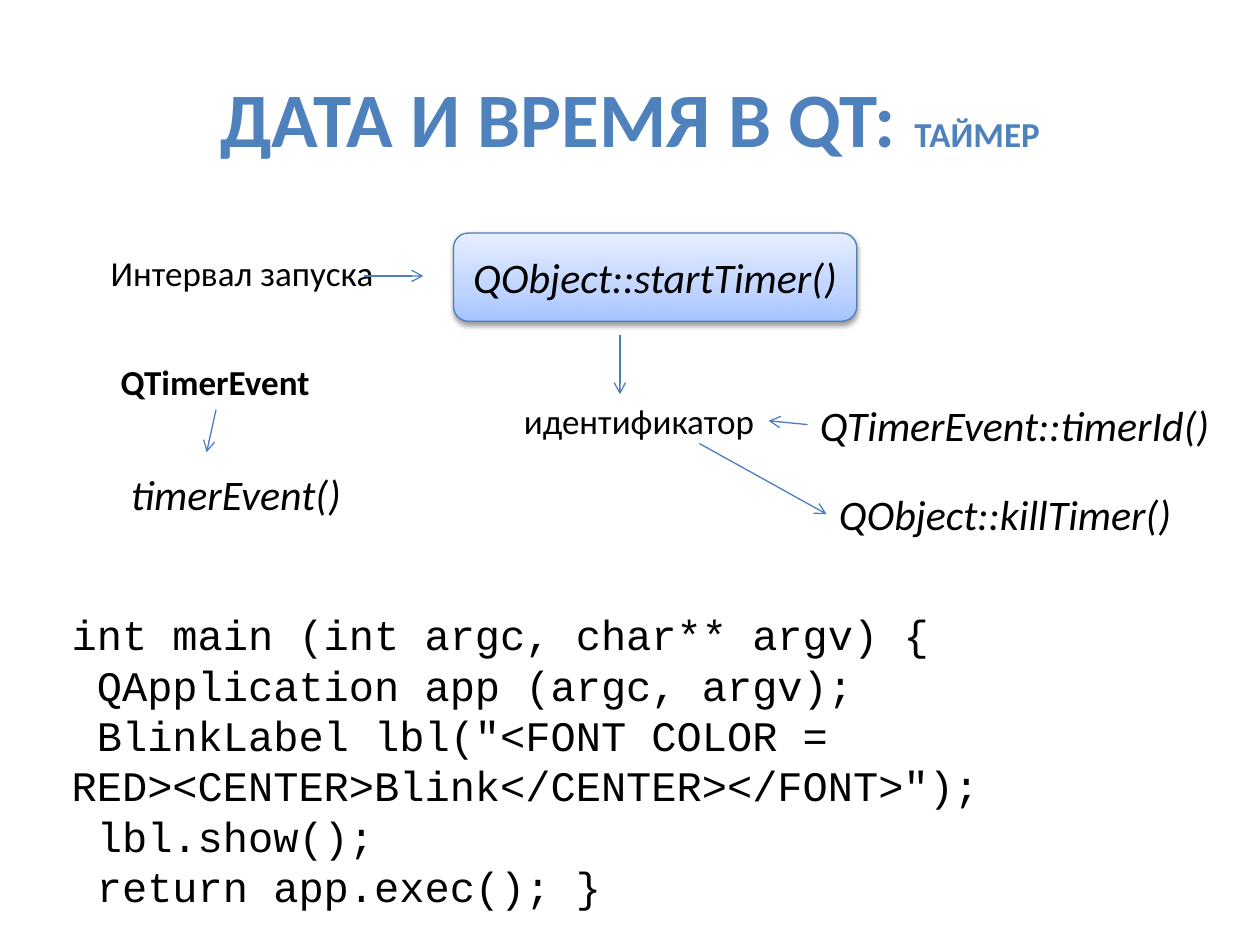
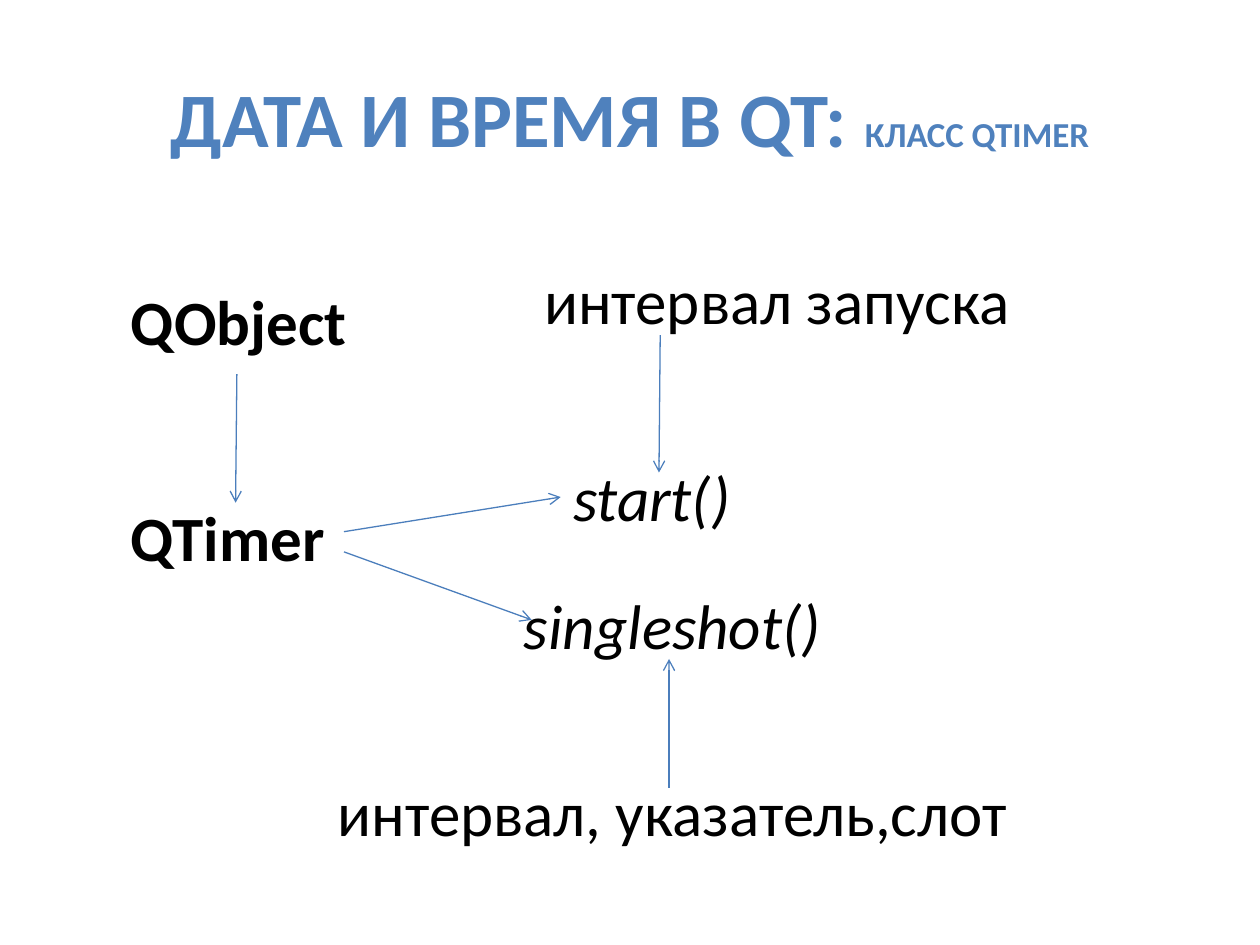
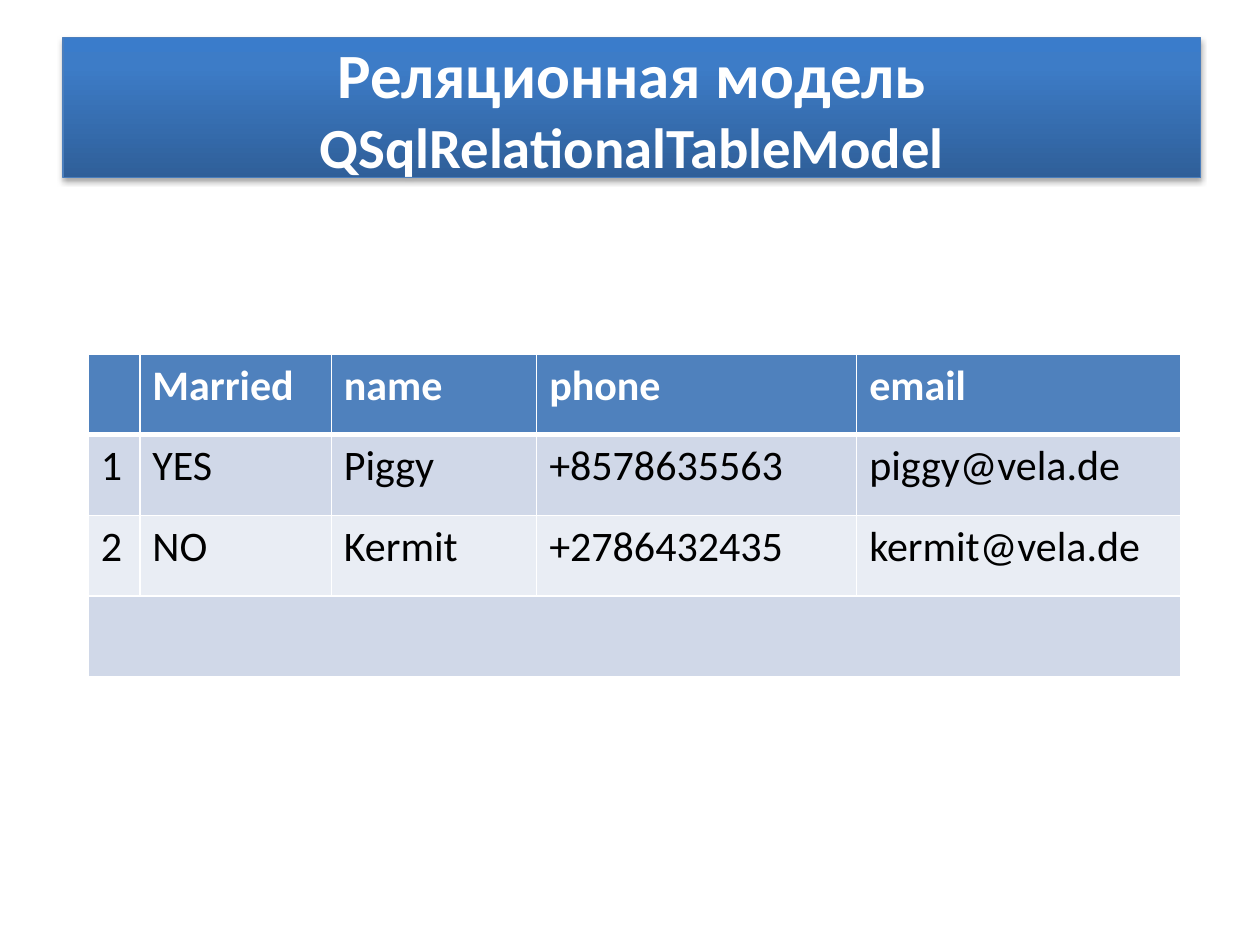
import copy

import lxml.etree
import pptx
import pptx.dml.color
import pptx.enum.shapes
import pptx.enum.text
import pptx.oxml.ns
import pptx.util

COLORS = {
    "accent": "4F81BD", "line": "4B7EBC", "text": "000000", "white": "FFFFFF",
    "band_dark": "D0D8E8", "band_light": "E9EDF4",
}
BUTTON_STOPS = [(0, "A4C4FF"), (35, "BFD4FF"), (100, "E6EEFF")]
BANNER_STOPS = [(0, "2F5F99"), (80, "3D7CC7"), (100, "3A7CCB")]
TITLE_ONLY = 5
Inches = pptx.util.Inches
Pt = pptx.util.Pt
RGBColor = pptx.dml.color.RGBColor
qn = pptx.oxml.ns.qn


def add_run(paragraph, text, size=24, color="text", bold=False, italic=False, font="Calibri"):
    run = paragraph.add_run()
    run.text = text
    run.font.name = font
    run.font.size = Pt(size)
    run.font.bold = bold
    run.font.italic = italic
    run.font.color.rgb = RGBColor.from_string(COLORS[color])
    return run


def style_raised(shape, stops, opacity, distance):
    """Upward gradient, thin outline and a soft shadow below."""
    fill = shape.fill
    fill.gradient()
    fill.gradient_angle = 90
    properties = shape._element.spPr
    stop_list = properties.find(".//" + qn("a:gsLst"))
    for stop in list(stop_list):
        stop_list.remove(stop)
    for position, color in stops:
        stop = lxml.etree.SubElement(stop_list, qn("a:gs"), pos=str(position * 1000))
        lxml.etree.SubElement(stop, qn("a:srgbClr"), val=color)
    shape.line.color.rgb = RGBColor.from_string(COLORS["line"])
    shape.line.width = Pt(0.75)
    shape.shadow.inherit = False
    shadow = lxml.etree.SubElement(
        properties.find(qn("a:effectLst")), qn("a:outerShdw"), blurRad=str(Pt(3.1)),
        dist=str(Pt(distance)), dir="5400000", rotWithShape="0")
    shadow_color = lxml.etree.SubElement(shadow, qn("a:srgbClr"), val=COLORS["text"])
    lxml.etree.SubElement(shadow_color, qn("a:alpha"), val=str(opacity * 1000))


presentation = pptx.Presentation()
presentation.slide_width = Inches(10)
presentation.slide_height = Inches(7.5)

# Diagram content: labels are (text, left, top, width, height, bold, italic);
# arrows are (start, end, joined label at start, joined label at end)
diagrams = [
    {
        "topic": "ТАЙМЕР",
        "wrap": False,
        "labels": [
            ("Интервал запуска", 0.78, 1.95, 2.31, 0.44, 20, False, False),
            ("идентификатор", 4.06, 3.12, 2.04, 0.44, 20, False, False),
            ("QTimerEvent", 0.86, 2.81, 1.71, 0.44, 20, True, False),
            ("timerEvent()", 0.94, 3.67, 1.89, 0.5, 24, False, True),
            ("QTimerEvent::timerId()", 6.41, 3.12, 3.33, 0.5, 24, False, True),
            ("QObject::killTimer()", 6.56, 3.83, 2.87, 0.5, 24, False, True),
        ],
        "arrows": [
            ((2.89, 2.19), (3.36, 2.19), None, None),
            ((4.92, 2.66), (4.92, 3.13), None, None),
            ((6.41, 3.38), (6.1, 3.34), ("QTimerEvent::timerId()", 1), ("идентификатор", 3)),
            ((5.55, 3.52), (6.56, 4.08), None, ("QObject::killTimer()", 1)),
            ((1.72, 3.25), (1.64, 3.59), ("QTimerEvent", 2), None),
        ],
    },
    {
        "topic": "КЛАСС QTIMER",
        "wrap": True,
        "labels": [
            ("QObject", 0.94, 2.19, 2.34, 0.71, 36, True, False),
            ("QTimer", 0.94, 3.91, 2.93, 0.71, 36, True, False),
            ("start()", 4.45, 3.59, 2.43, 0.71, 36, False, True),
            ("интервал запуска", 4.22, 2.03, 4.69, 0.71, 36, False, False),
            ("singleshot()", 4.06, 4.61, 2.77, 0.7, 36, False, True),
            ("интервал, указатель,слот", 2.58, 6.09, 5.78, 0.71, 36, False, False),
        ],
        "arrows": [
            ((1.88, 2.97), (1.87, 3.99), None, None),
            ((5.31, 6.25), (5.31, 5.23), None, None),
            ((2.73, 4.22), (4.45, 3.95), None, ("start()", 1)),
            ((2.73, 4.38), (4.22, 4.92), None, None),
            ((5.24, 2.66), (5.23, 3.75), None, None),
        ],
    },
]

# Slides 1 and 2: title, labels and arrows
for diagram in diagrams:
    slide = presentation.slides.add_slide(presentation.slide_layouts[TITLE_ONLY])
    title = slide.shapes.title
    title.left, title.top, title.width, title.height = map(Inches, (0.5, 0.3, 9, 1.25))
    title.text_frame.auto_size = pptx.enum.text.MSO_AUTO_SIZE.NONE
    paragraph = title.text_frame.paragraphs[0]
    add_run(paragraph, "ДАТА И ВРЕМЯ В QT: ", size=44, color="accent", bold=True)
    add_run(paragraph, diagram["topic"], size=20, color="accent", bold=True)

    boxes = {}
    for text, left, top, width, height, size, bold, italic in diagram["labels"]:
        box = slide.shapes.add_textbox(*map(Inches, (left, top, width, height)))
        box.text_frame.word_wrap = diagram["wrap"]
        box.text_frame.auto_size = pptx.enum.text.MSO_AUTO_SIZE.SHAPE_TO_FIT_TEXT
        add_run(box.text_frame.paragraphs[0], text, size=size, bold=bold, italic=italic)
        boxes[text] = box

    for start, end, start_join, end_join in diagram["arrows"]:
        arrow = slide.shapes.add_connector(
            pptx.enum.shapes.MSO_CONNECTOR.STRAIGHT, *map(Inches, start + end))
        if start_join:
            arrow.begin_connect(boxes[start_join[0]], start_join[1])
        if end_join:
            arrow.end_connect(boxes[end_join[0]], end_join[1])
        arrow.line.color.rgb = RGBColor.from_string(COLORS["line"])
        arrow.line.width = Pt(0.75)
        lxml.etree.SubElement(arrow.line._get_or_add_ln(), qn("a:tailEnd"), type="arrow")
        lxml.etree.SubElement(arrow._element.spPr, qn("a:effectLst"))

# Slide 1: highlighted function
slide = presentation.slides[0]
button = slide.shapes.add_shape(
    pptx.enum.shapes.MSO_SHAPE.ROUNDED_RECTANGLE, *map(Inches, (3.6, 1.85, 3.2, 0.7)))
style_raised(button, BUTTON_STOPS, opacity=38, distance=1.6)
button.text_frame.vertical_anchor = pptx.enum.text.MSO_ANCHOR.MIDDLE
paragraph = button.text_frame.paragraphs[0]
paragraph.alignment = pptx.enum.text.PP_ALIGN.CENTER
add_run(paragraph, "QObject::startTimer()", italic=True)

# Slide 1: code listing
code_lines = [
    "int main (int argc, char** argv) {",
    " QApplication app (argc, argv);",
    ' BlinkLabel lbl("<FONT COLOR = RED><CENTER>Blink</CENTER></FONT>");',
    " lbl.show();",
    " return app.exec(); }",
]
code_frame = slide.shapes.add_textbox(*map(Inches, (0.47, 4.77, 9.22, 2.52))).text_frame
code_frame.word_wrap = True
code_frame.auto_size = pptx.enum.text.MSO_AUTO_SIZE.SHAPE_TO_FIT_TEXT
code_frame.vertical_anchor = pptx.enum.text.MSO_ANCHOR.MIDDLE
for index, line in enumerate(code_lines):
    paragraph = code_frame.add_paragraph() if index else code_frame.paragraphs[0]
    add_run(paragraph, line, font="Courier New")

# Slide 3: title banner
slide = presentation.slides.add_slide(presentation.slide_layouts[TITLE_ONLY])
banner = slide.shapes.title
banner.left, banner.top, banner.width, banner.height = map(Inches, (0.5, 0.3, 9.03, 1.11))
style_raised(banner, BANNER_STOPS, opacity=35, distance=1.8)
banner.text_frame.auto_size = pptx.enum.text.MSO_AUTO_SIZE.NONE
paragraph = banner.text_frame.paragraphs[0]
first_run = add_run(paragraph, "Реляционная модель", size=36, color="white", bold=True)
paragraph.add_line_break()
# The break takes the size of the line it ends
paragraph._p[-1].append(copy.deepcopy(first_run._r.rPr))
add_run(paragraph, "QSqlRelationalTableModel", size=32.4, color="white", bold=True)

# Slide 3: table
rows = [
    ["", "Married", "name", "phone", "email"],
    ["1", "YES", "Piggy", "+8578635563", "piggy@vela.de"],
    ["2", "NO", "Kermit", "+2786432435", "kermit@vela.de"],
    [""] * 5,
]
row_fills = ["accent", "band_dark", "band_light", "band_dark"]
table = slide.shapes.add_table(
    len(rows), len(rows[0]), *map(Inches, (0.7, 2.81, 8.67, 2.56))).table
for column, width in zip(table.columns, (0.41, 1.52, 1.63, 2.54, 2.57)):
    column.width = Inches(width)
for row_index, (texts, fill_name) in enumerate(zip(rows, row_fills)):
    table.rows[row_index].height = Inches(0.64)
    is_header = row_index == 0
    border_widths = {"L": 1, "R": 1, "T": 3 if row_index == 1 else 1, "B": 3 if is_header else 1}
    for column_index, text in enumerate(texts):
        cell = table.cell(row_index, column_index)
        cell_properties = cell._tc.get_or_add_tcPr()
        for side, width in border_widths.items():
            border = lxml.etree.SubElement(cell_properties, qn("a:ln" + side), w=str(Pt(width)))
            border_fill = lxml.etree.SubElement(border, qn("a:solidFill"))
            lxml.etree.SubElement(border_fill, qn("a:srgbClr"), val=COLORS["white"])
        cell.fill.solid()
        cell.fill.fore_color.rgb = RGBColor.from_string(COLORS[fill_name])
        if text:
            add_run(cell.text_frame.paragraphs[0], text,
                    color="white" if is_header else "text", bold=is_header)
table.cell(3, 0).merge(table.cell(3, 4))

presentation.save("out.pptx")
